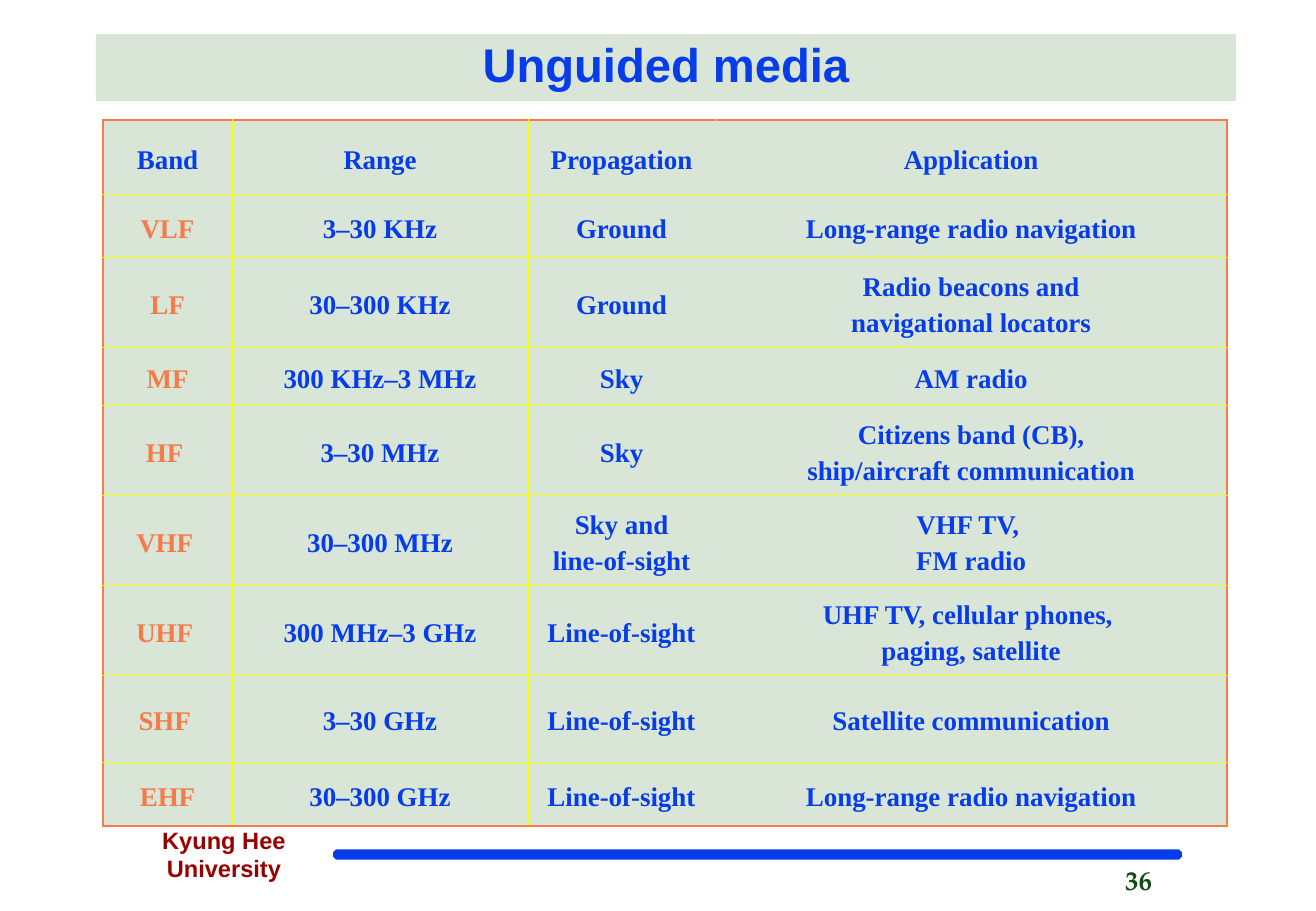
from dataclasses import dataclass

from lxml.etree import SubElement
from pptx import Presentation
from pptx.dml.color import RGBColor as RGB
from pptx.enum.shapes import MSO_SHAPE as SHAPE
from pptx.enum.text import MSO_ANCHOR as ANCHOR, PP_ALIGN as ALIGN
from pptx.oxml.ns import qn
from pptx.util import Inches, Pt


@dataclass(frozen=True)
class Theme:
    blue: str = "063DE8"
    orange: str = "F57B49"
    yellow: str = "FAFD00"
    panel: str = "D9E5D7"
    maroon: str = "990000"
    green: str = "0F4D13"
    sans: str = "Arial"
    serif: str = "Times New Roman"
    number_face: str = "TeX Gyre Pagella"
    title_size: int = 28
    body_size: int = 16
    footer_size: int = 14
    outer_width: float = 1.47
    inner_width: float = 0.45


THEME = Theme()

COLUMN_WIDTHS = [1.06, 2.44, 1.54, 4.22]
ROW_HEIGHTS = [0.61, 0.52, 0.74, 0.48, 0.74, 0.74, 0.74, 0.72, 0.52]
BANDS = [
    ("Band", "Range", "Propagation", "Application"),
    ("VLF", "3–30 KHz", "Ground", "Long-range radio navigation"),
    ("LF", "30–300 KHz", "Ground", "Radio beacons and\nnavigational locators"),
    ("MF", "300 KHz–3 MHz", "Sky", "AM radio"),
    ("HF ", "3–30 MHz", "Sky", "Citizens band (CB),\nship/aircraft communication"),
    ("VHF ", "30–300 MHz", "Sky and\nline-of-sight", "VHF TV, \nFM radio"),
    ("UHF ", "300 MHz–3 GHz", "Line-of-sight",
     "UHF TV, cellular phones, \npaging, satellite"),
    ("SHF ", "3–30 GHz", "Line-of-sight", "Satellite communication"),
    ("EHF", "30–300 GHz", "Line-of-sight", "Long-range radio navigation"),
]


def write(frame, text, face, size, color, align=ALIGN.CENTER, spacing=None):
    """Fill a text frame with one bold paragraph."""
    frame.word_wrap = True
    paragraph = frame.paragraphs[0]
    paragraph.text = text
    paragraph.alignment = align
    if spacing:
        paragraph.line_spacing = spacing
    font = paragraph.font
    font.name, font.size, font.bold = face, Pt(size), True
    font.color.rgb = RGB.from_string(color)


def add_panel(slide, preset, box, color):
    panel = slide.shapes.add_shape(preset, *map(Inches, box))
    panel.shadow.inherit = False
    panel.fill.solid()
    panel.fill.fore_color.rgb = RGB.from_string(color)
    panel.line.fill.background()
    return panel


def add_title(slide, box):
    title = add_panel(slide, SHAPE.RECTANGLE, box, THEME.panel)
    title.text_frame.vertical_anchor = ANCHOR.MIDDLE
    write(title.text_frame, "Unguided media", THEME.sans, THEME.title_size,
          THEME.blue, spacing=0.9)


def set_border(cell, side, outer):
    width = THEME.outer_width if outer else THEME.inner_width
    color = THEME.orange if outer else THEME.yellow
    border = SubElement(cell._tc.get_or_add_tcPr(), qn(f"a:ln{side}"), w=str(Pt(width)))
    SubElement(SubElement(border, qn("a:solidFill")), qn("a:srgbClr"), val=color)


def add_band_table(slide, box):
    row_count, column_count = len(BANDS), len(COLUMN_WIDTHS)
    table = slide.shapes.add_table(row_count, column_count, *map(Inches, box)).table
    table.first_row = table.horz_banding = False
    for column, width in zip(table.columns, COLUMN_WIDTHS):
        column.width = Inches(width)
    for row, height in zip(table.rows, ROW_HEIGHTS):
        row.height = Inches(height)

    for r, band in enumerate(BANDS):
        for c, text in enumerate(band):
            cell = table.cell(r, c)
            cell.vertical_anchor = ANCHOR.MIDDLE
            # Orange around the table, yellow between the cells
            outer_sides = {"L": c == 0, "R": c == column_count - 1,
                           "T": r == 0, "B": r == row_count - 1}
            for side, outer in outer_sides.items():
                set_border(cell, side, outer)
            cell.fill.solid()
            cell.fill.fore_color.rgb = RGB.from_string(THEME.panel)
            color = THEME.orange if r > 0 and c == 0 else THEME.blue
            write(cell.text_frame, text, THEME.serif, THEME.body_size, color, spacing=1.2)
            cell.text_frame.paragraphs[0].space_after = Pt(6)


def add_footer(slide, box):
    left, top, width, height = box
    # Rule
    rule = add_panel(slide, SHAPE.OCTAGON, (left + 2, top + 0.25, 6.98, 0.07), THEME.blue)
    rule.adjustments[0] = 0.293
    rule.line.color.rgb = RGB.from_string(THEME.blue)
    rule.line.width = Pt(1)
    # Page number, at the right end
    number = slide.shapes.add_textbox(
        *map(Inches, (left + width - 1.35, top + 0.31, 1.35, 0.4)))
    write(number.text_frame, "36", THEME.number_face, THEME.body_size, THEME.green,
          align=ALIGN.LEFT)
    # University
    university = slide.shapes.add_textbox(*map(Inches, (left, top, 2.19, height)))
    write(university.text_frame, "Kyung Hee University", THEME.sans,
          THEME.footer_size, THEME.maroon)


def main():
    deck = Presentation()
    deck.slide_width, deck.slide_height = Inches(10.84), Inches(7.5)
    slide = deck.slides.add_slide(deck.slide_layouts[6])
    add_footer(slide, (0.75, 6.75, 9.77, 0.57))
    add_title(slide, (0.79, 0.28, 9.39, 0.55))
    add_band_table(slide, (0.85, 0.99, sum(COLUMN_WIDTHS), sum(ROW_HEIGHTS)))
    deck.save("out.pptx")


if __name__ == "__main__":
    main()
